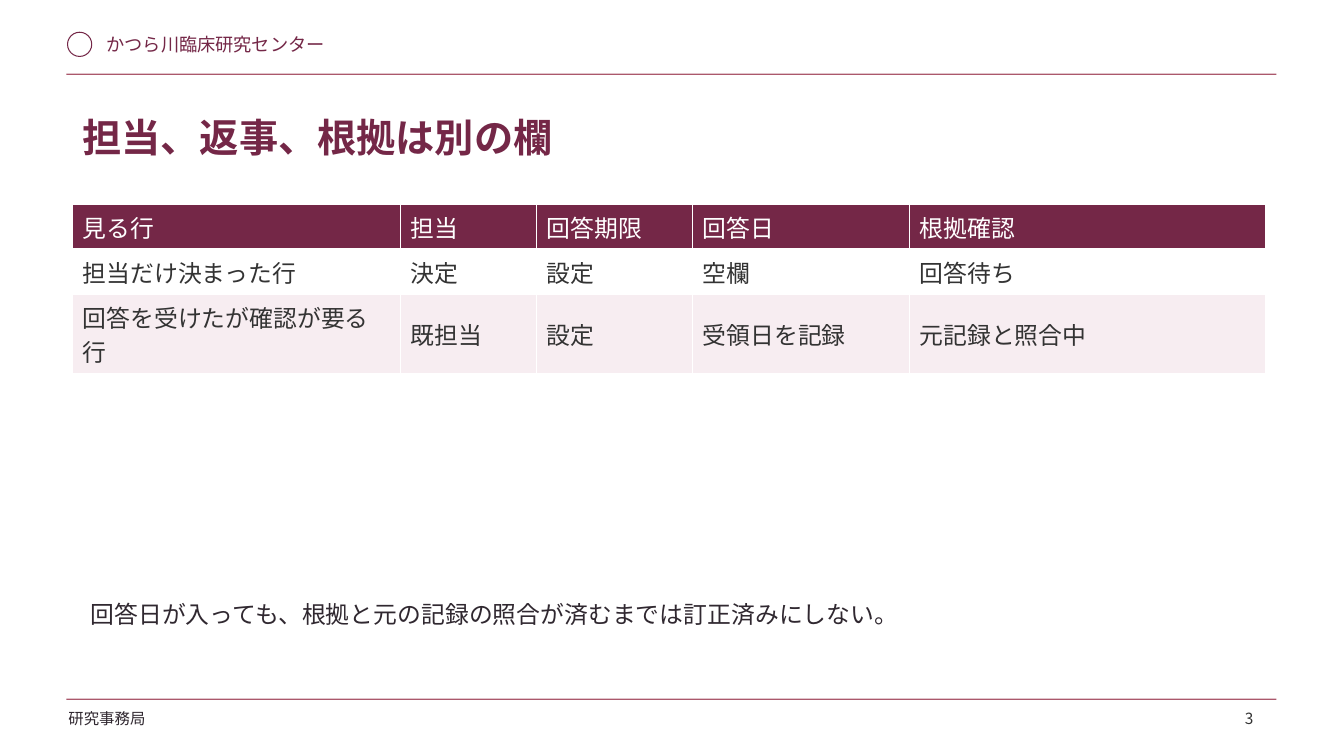
"""Build the slide that separates owner, reply and evidence columns."""
import pptx
import pptx.dml.color
import pptx.enum.lang
import pptx.enum.shapes
import pptx.enum.text
import pptx.oxml
import pptx.oxml.ns
import pptx.util

PX = 9144
FONT = "Noto Sans CJK JP"
RGBColor = pptx.dml.color.RGBColor
WINE = RGBColor(0x74, 0x27, 0x47)
ROSE = RGBColor(0xAB, 0x58, 0x6C)
BLUSH = RGBColor(0xF7, 0xED, 0xF1)
WHITE = RGBColor(0xFF, 0xFF, 0xFF)
INK = RGBColor(0x30, 0x28, 0x30)
GREY = RGBColor(0x33, 0x33, 0x33)
MSO_SHAPE = pptx.enum.shapes.MSO_SHAPE
PP_ALIGN = pptx.enum.text.PP_ALIGN


def style(para, size, color, bold=False):
    for span in para.runs:
        span.font.size = pptx.util.Pt(size)
        span.font.bold = bold
        span.font.color.rgb = color
        span.font.name = FONT
        span.font.language_id = pptx.enum.lang.MSO_LANGUAGE_ID.JAPANESE
        east_asian = pptx.oxml.parse_xml(
            f'<a:ea {pptx.oxml.ns.nsdecls("a")} typeface="{FONT}"/>')
        span.font._element.append(east_asian)


def add_text(text, bounds, size, color, bold=False, wrap=False, align=PP_ALIGN.LEFT):
    box = page.shapes.add_textbox(*(value * PX for value in bounds))
    box.text_frame.word_wrap = wrap
    box.text_frame.text = text
    para = box.text_frame.paragraphs[0]
    para.alignment = align
    style(para, size, color, bold)
    return box


deck = pptx.Presentation()
deck.slide_width = 1333 * PX
deck.slide_height = 750 * PX
page = deck.slides.add_slide(deck.slide_layouts[6])

emblem = page.shapes.add_shape(MSO_SHAPE.OVAL, 67 * PX, 32 * PX, 24 * PX, 24 * PX)
emblem.shadow.inherit = False
emblem.fill.background()
emblem.line.color.rgb = WINE
emblem.line.width = pptx.util.Pt(0.75)

for rule_top in (73, 693):
    rule = page.shapes.add_shape(
        MSO_SHAPE.RECTANGLE, 66 * PX, rule_top * PX, 1200 * PX, pptx.util.Pt(1))
    rule.shadow.inherit = False
    rule.fill.solid()
    rule.fill.fore_color.rgb = ROSE
    rule.line.fill.background()

add_text("かつら川臨床研究センター", (96, 28, 330, 35), 13, WINE)
add_text("研究事務局", (58, 699, 180, 36), 11, INK)
title = add_text("担当、返事、根拠は別の欄", (72, 102, 1190, 81), 28, WINE, bold=True, wrap=True)
title.text_frame.margin_top = title.text_frame.margin_bottom = 10 * PX

rows = [
    ("見る行", "担当", "回答期限", "回答日", "根拠確認"),
    ("担当だけ決まった行", "決定", "設定", "空欄", "回答待ち"),
    ("回答を受けたが確認が要る行", "既担当", "設定", "受領日を記録", "元記録と照合中"),
]
row_fills = (WINE, WHITE, BLUSH)
row_inks = (WHITE, GREY, GREY)
row_heights = (44, 45, 79)
column_widths = (325, 135, 155, 215, 353)
table = page.shapes.add_table(
    len(rows), len(column_widths), 72 * PX, 203 * PX,
    sum(column_widths) * PX, sum(row_heights) * PX).table
for column, width in zip(table.columns, column_widths):
    column.width = width * PX
for row, height, texts, fill, ink in zip(table.rows, row_heights, rows, row_fills, row_inks):
    row.height = height * PX
    for cell, text in zip(row.cells, texts):
        cell.fill.solid()
        cell.fill.fore_color.rgb = fill
        cell.vertical_anchor = pptx.enum.text.MSO_ANCHOR.MIDDLE
        cell.text_frame.text = text
        style(cell.text_frame.paragraphs[0], 17, ink)

add_text("3", (1208, 699, 45, 25), 11, GREY, align=PP_ALIGN.RIGHT)
note = add_text("回答日が入っても、根拠と元の記録の照合が済むまでは訂正済みにしない。",
                (80, 590, 1160, 65), 17, INK, wrap=True)
note.text_frame.paragraphs[0].space_after = pptx.util.Pt(14)

deck.save("out.pptx")
